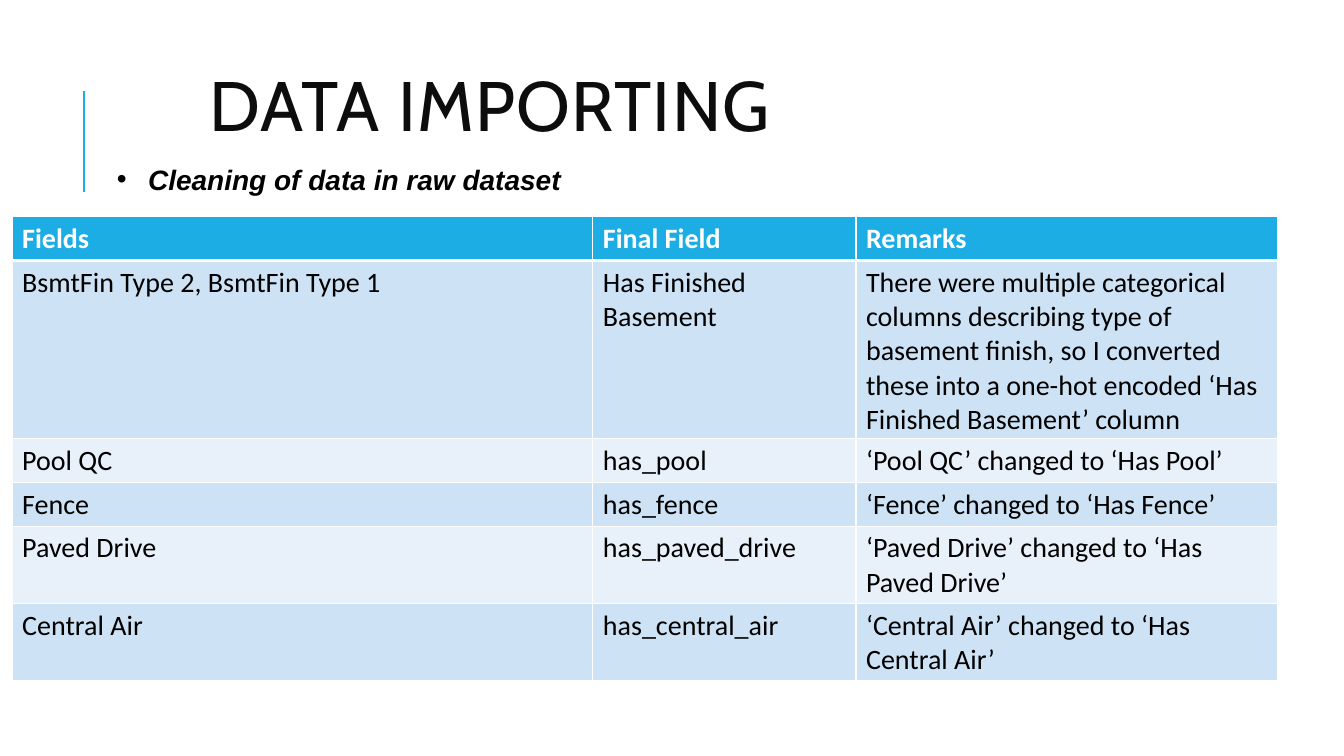
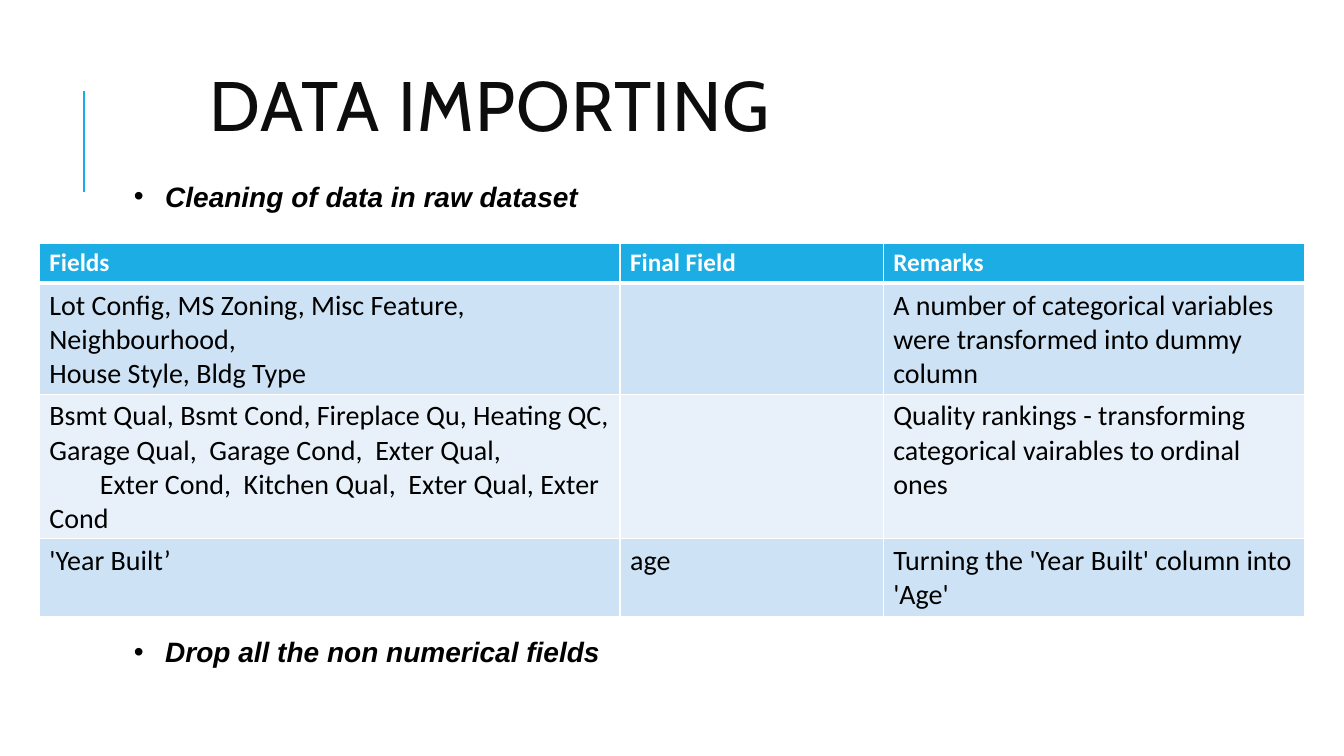
import pptx
import pptx.dml.color
import pptx.enum.shapes
import pptx.enum.text
import pptx.oxml.ns
import pptx.util
from lxml import etree

Inches, Pt = pptx.util.Inches, pptx.util.Pt
RGBColor = pptx.dml.color.RGBColor
qn = pptx.oxml.ns.qn

# Shared look
ACCENT = RGBColor(0x1C, 0xAD, 0xE4)
BAND_DARK = RGBColor(0xCD, 0xE3, 0xF5)
BAND_LIGHT = RGBColor(0xE8, 0xF1, 0xFA)
INK = RGBColor(0x0D, 0x0D, 0x0D)
BLACK = RGBColor(0, 0, 0)
WHITE = RGBColor(0xFF, 0xFF, 0xFF)
COLUMNS = (5.76, 2.61, 4.18)
LINE_HEIGHT, CELL_PADDING = 0.333, 0.1

# Content: a row is (text lines, cells); a cell lists (paragraph, first-line indent)
TITLE = "DATA IMPORTING"
HEADINGS = ("Fields", "Final Field", "Remarks")
CLEANING = "Cleaning of data in raw dataset"
SLIDES = [
    {
        "bullets": [(CLEANING, 1.06, 1.56)],
        "table_at": (0.12, 2.15),
        "heading_size": 20,
        "rows": [
            (5, ("BsmtFin Type 2, BsmtFin Type 1", "Has Finished Basement",
                 "There were multiple categorical columns describing type of basement "
                 "finish, so I converted these into a one-hot encoded "
                 "‘Has Finished Basement’ column")),
            (1, ("Pool QC", "has_pool", "‘Pool QC’ changed to ‘Has Pool’")),
            (1, ("Fence", "has_fence", "‘Fence’ changed to ‘Has Fence’")),
            (2, ("Paved Drive", "has_paved_drive",
                 "‘Paved Drive’ changed to ‘Has Paved Drive’")),
            (2, ("Central Air", "has_central_air",
                 "‘Central Air’ changed to ‘Has Central Air’")),
        ],
    },
    {
        "bullets": [(CLEANING, 1.23, 1.73),
                    ("Drop all the non numerical fields", 1.23, 6.25)],
        "table_at": (0.39, 2.41),
        "heading_size": 18,
        "rows": [
            (3, ([("Lot Config, MS Zoning, Misc Feature, Neighbourhood,", 0),
                  ("House Style, Bldg Type", 0)], "",
                 "A number of categorical variables were transformed into dummy column")),
            (4, ([("Bsmt Qual, Bsmt Cond, Fireplace Qu, Heating QC, "
                   "Garage Qual,  Garage Cond,  Exter Qual,", 0),
                  ("Exter Cond,  Kitchen Qual,  Exter Qual, Exter Cond", 0.5)], "",
                 "Quality rankings - transforming categorical vairables to ordinal ones")),
            (2, ("'Year Built’", "age", "Turning the 'Year Built' column into 'Age'")),
        ],
    },
]


def write(frame, text, font="Calibri", size=20, color=BLACK, bold=False,
          italic=False, bullet=False, line_spacing=None, tracking=None):
    """Fill a text frame with one string or a list of (string, indent)."""
    frame.word_wrap = True
    paragraphs = [(text, 0)] if isinstance(text, str) else text
    for number, (words, indent) in enumerate(paragraphs):
        paragraph = frame.add_paragraph() if number else frame.paragraphs[0]
        properties = paragraph._p.get_or_add_pPr()
        if indent:
            properties.set("indent", str(Inches(indent)))
        if bullet:
            properties.set("marL", str(Inches(0.31)))
            properties.set("indent", str(Inches(-0.31)))
            etree.SubElement(properties, qn("a:buFont")).set("typeface", "Arial")
            etree.SubElement(properties, qn("a:buChar")).set("char", "•")
        if line_spacing:
            paragraph.line_spacing = line_spacing
        style = paragraph.font
        if words:
            run = paragraph.add_run()
            run.text = words
            style = run.font
            if tracking:
                run._r.get_or_add_rPr().set("spc", str(tracking * 100))
        style.name, style.size = font, Pt(size)
        style.bold, style.italic = bold, italic
        style.color.rgb = color


def add_text(slide, left, top, width, height, text, **style):
    box = slide.shapes.add_textbox(*map(Inches, (left, top, width, height)))
    write(box.text_frame, text, **style)
    return box


def add_title(slide):
    rule = slide.shapes.add_connector(
        pptx.enum.shapes.MSO_CONNECTOR.STRAIGHT,
        *map(Inches, (0.83, 1.9, 0.83, 0.9)))
    rule.line.color.rgb = ACCENT
    rule.line.width = Pt(1.5)
    etree.SubElement(rule._element.spPr, qn("a:effectLst"))
    title = add_text(slide, 1.98, 0.4, 9.75, 1.4, TITLE, font="Cabin", size=50,
                     color=INK, line_spacing=0.8, tracking=1)
    title.text_frame.vertical_anchor = pptx.enum.text.MSO_ANCHOR.MIDDLE


def set_borders(cell, **widths):
    properties = cell._tc.get_or_add_tcPr()
    for place, (side, width) in enumerate(widths.items()):
        line = etree.Element(qn("a:ln" + side), w=str(Pt(width)))
        fill = etree.SubElement(line, qn("a:solidFill"))
        etree.SubElement(fill, qn("a:srgbClr")).set("val", str(WHITE))
        properties.insert(place, line)


def add_field_table(slide, left, top, rows, heading_size):
    rows = [(1, HEADINGS)] + rows
    heights = [CELL_PADDING + LINE_HEIGHT * lines for lines, _ in rows]
    heights[0] -= (20 - heading_size) / 60
    table = slide.shapes.add_table(
        len(rows), len(COLUMNS),
        *map(Inches, (left, top, sum(COLUMNS), sum(heights)))).table
    for column, width in zip(table.columns, COLUMNS):
        column.width = Inches(width)
    for r, (_, texts) in enumerate(rows):
        table.rows[r].height = Inches(heights[r])
        for c, text in enumerate(texts):
            cell = table.cell(r, c)
            cell.fill.solid()
            if r == 0:
                cell.fill.fore_color.rgb = ACCENT
                write(cell.text_frame, text, size=heading_size, color=WHITE, bold=True)
            else:
                cell.fill.fore_color.rgb = BAND_DARK if r % 2 else BAND_LIGHT
                write(cell.text_frame, text)
            set_borders(cell, L=1, R=1, T=3 if r == 1 else 1, B=1 if r else 3)


def main():
    deck = pptx.Presentation()
    deck.slide_width, deck.slide_height = Inches(13.33), Inches(7.5)
    for content in SLIDES:
        slide = deck.slides.add_slide(deck.slide_layouts[6])
        add_title(slide)
        for text, left, top in content["bullets"]:
            add_text(slide, left, top, 10.29, 0.44, text, font="Arial",
                     bold=True, italic=True, bullet=True)
        add_field_table(slide, *content["table_at"], content["rows"],
                        content["heading_size"])
    deck.save("out.pptx")


if __name__ == "__main__":
    main()
